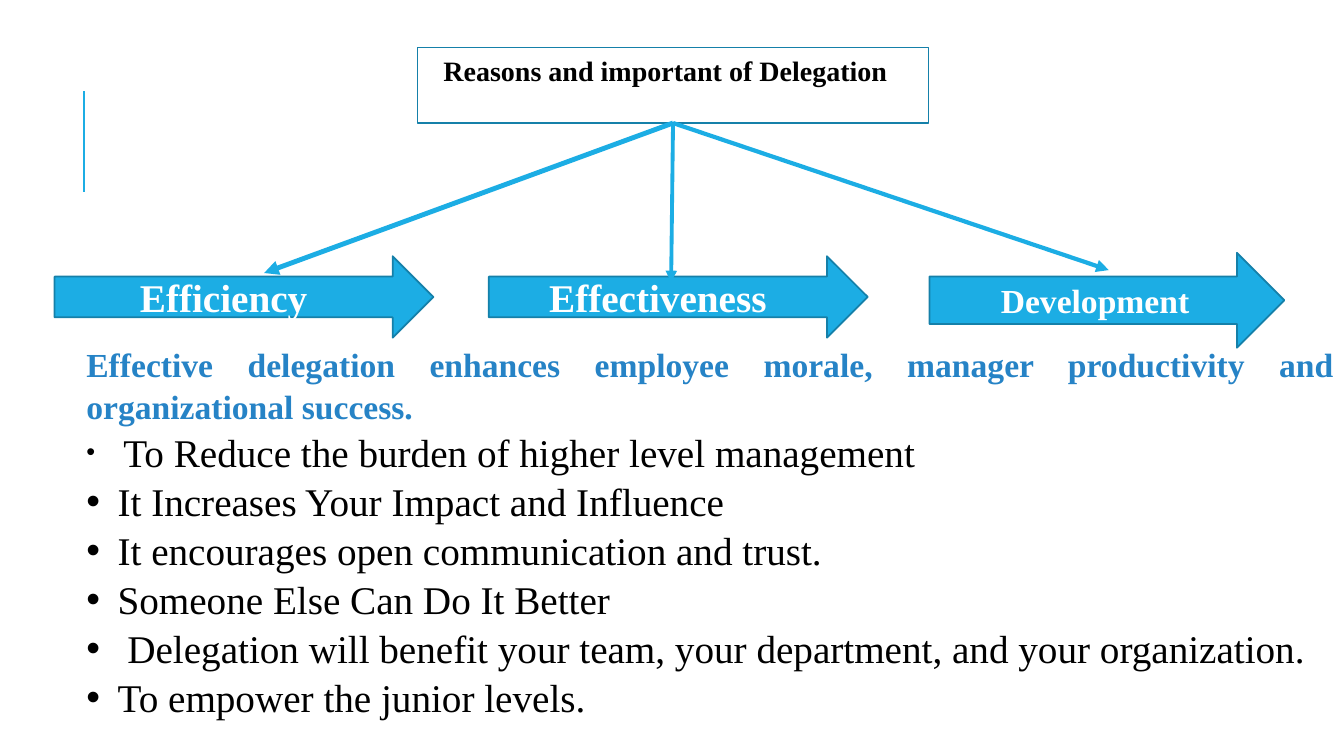
from dataclasses import dataclass

from lxml.etree import SubElement
from pptx import Presentation
from pptx.dml.color import RGBColor
from pptx.enum.shapes import MSO_CONNECTOR, MSO_SHAPE
from pptx.enum.text import MSO_ANCHOR, PP_ALIGN
from pptx.oxml.ns import qn
from pptx.util import Inches, Pt

COLS, ROWS = 32, 18
FONT = "Times New Roman"
ACCENT, EDGE, HEADING = "1CADE4", "1580A9", "2683C6"
LINE_SPACING = 1.04

prs = Presentation()
prs.slide_width, prs.slide_height = Inches(13.333), Inches(7.5)
s = prs.slides.add_slide(prs.slide_layouts[6])


@dataclass
class Area:
    """A rectangle in grid columns and rows."""
    col: float
    row: float
    cols: float
    rows: float

    def emu(self) -> tuple:
        return x(self.col), y(self.row), x(self.cols), y(self.rows)


@dataclass
class Reason:
    """A block arrow and the line that points to it."""
    label: str
    area: Area
    size: float
    right_inset: float
    target: tuple
    line_width: float


REASONS = [
    Reason("Efficiency", Area(1.3, 6.1, 9.02, 1.94), 28, 0.3, (6.29, 6.5), 3.5),
    Reason("Development", Area(22.13, 6.02, 8.45, 2.26), 24, 0.1, (26.4, 6.43), 3),
    Reason("Effectiveness", Area(11.64, 6.1, 9.02, 1.94), 28, 0.3, (15.98, 6.72), 2.75),
]
BENEFITS = [
    "To Reduce the burden of higher level management",
    "It Increases Your Impact and Influence",
    "It encourages open communication and trust.",
    "Someone Else Can Do It Better",
    " Delegation will benefit your team, your department, and your organization.",
    "To empower the junior levels.",
]


def x(cols: float) -> int:
    return round(prs.slide_width * cols / COLS)


def y(rows: float) -> int:
    return round(prs.slide_height * rows / ROWS)


def rgb(color: str) -> RGBColor:
    return RGBColor.from_string(color)


def add_run(p, text: str, color: str = "000000", **formats) -> None:
    r = p.add_run()
    r.text = text
    r.font.color.rgb = rgb(color)
    for name, value in ({"name": FONT, "bold": False} | formats).items():
        setattr(r.font, name, value)


def add_text_box(area: Area):
    tf = s.shapes.add_textbox(*area.emu()).text_frame
    tf.word_wrap = True
    tf.paragraphs[0].line_spacing = LINE_SPACING
    return tf


def add_bullet(tf):
    p = tf.add_paragraph()
    p.line_spacing = LINE_SPACING
    pPr = p._p.get_or_add_pPr()
    pPr.set("marL", str(Inches(0.31)))
    pPr.set("indent", str(-Inches(0.31)))
    SubElement(pPr, qn("a:buFont"), typeface="Arial")
    SubElement(pPr, qn("a:buChar"), char="•")
    return p


def add_outlined(kind: MSO_SHAPE, area: Area):
    sp = s.shapes.add_shape(kind, *area.emu())
    sp.shadow.inherit = False
    sp.line.color.rgb = rgb(EDGE)
    sp.line.width = Pt(1.25)
    return sp


def add_line(start: tuple, end: tuple, width: float):
    line = s.shapes.add_connector(
        MSO_CONNECTOR.STRAIGHT, x(start[0]), y(start[1]), x(end[0]), y(end[1]))
    line.line.color.rgb = rgb(ACCENT)
    line.line.width = Pt(width)
    SubElement(line._element.spPr, qn("a:effectLst"))
    return line


def add_block_arrow(reason: Reason) -> None:
    sp = add_outlined(MSO_SHAPE.RIGHT_ARROW, reason.area)
    sp.fill.solid()
    sp.fill.fore_color.rgb = rgb(ACCENT)
    tf = sp.text_frame
    tf.word_wrap = True
    tf.vertical_anchor = MSO_ANCHOR.MIDDLE
    tf.margin_right = Inches(reason.right_inset)
    p = tf.paragraphs[0]
    p.alignment = PP_ALIGN.CENTER
    add_run(p, reason.label, "FFFFFF", size=Pt(reason.size), bold=True)


def add_pointer(box, reason: Reason) -> None:
    line = add_line((16.02, 2.93), reason.target, reason.line_width)
    line.begin_connect(box, 2)
    SubElement(line.line._get_or_add_ln(), qn("a:tailEnd"), type="triangle")


def main() -> None:
    add_line((2, 4.56), (2, 2.16), 1.5)

    title = add_text_box(Area(10.32, 1.13, 16.44, 1.78))
    add_run(title.paragraphs[0], "Reasons and important of Delegation",
            size=Pt(20), bold=True)

    body = add_text_box(Area(1.82, 8.04, 30.17, 8.98))
    heading = body.paragraphs[0]
    heading.alignment = PP_ALIGN.JUSTIFY
    add_run(heading, "Effective delegation enhances employee morale, manager "
            "productivity and organizational success.",
            HEADING, size=Pt(24), bold=True)
    for i, benefit in enumerate(BENEFITS):
        p = add_bullet(body)
        if i == 0:
            add_run(p, " ", name="Calibri", size=Pt(18))
        add_run(p, benefit, size=Pt(28))

    box = add_outlined(MSO_SHAPE.RECTANGLE, Area(9.94, 1.13, 12.17, 1.8))
    box.fill.background()
    for reason in REASONS:
        add_block_arrow(reason)
    for reason in REASONS:
        add_pointer(box, reason)
    prs.save("out.pptx")


if __name__ == "__main__":
    main()
